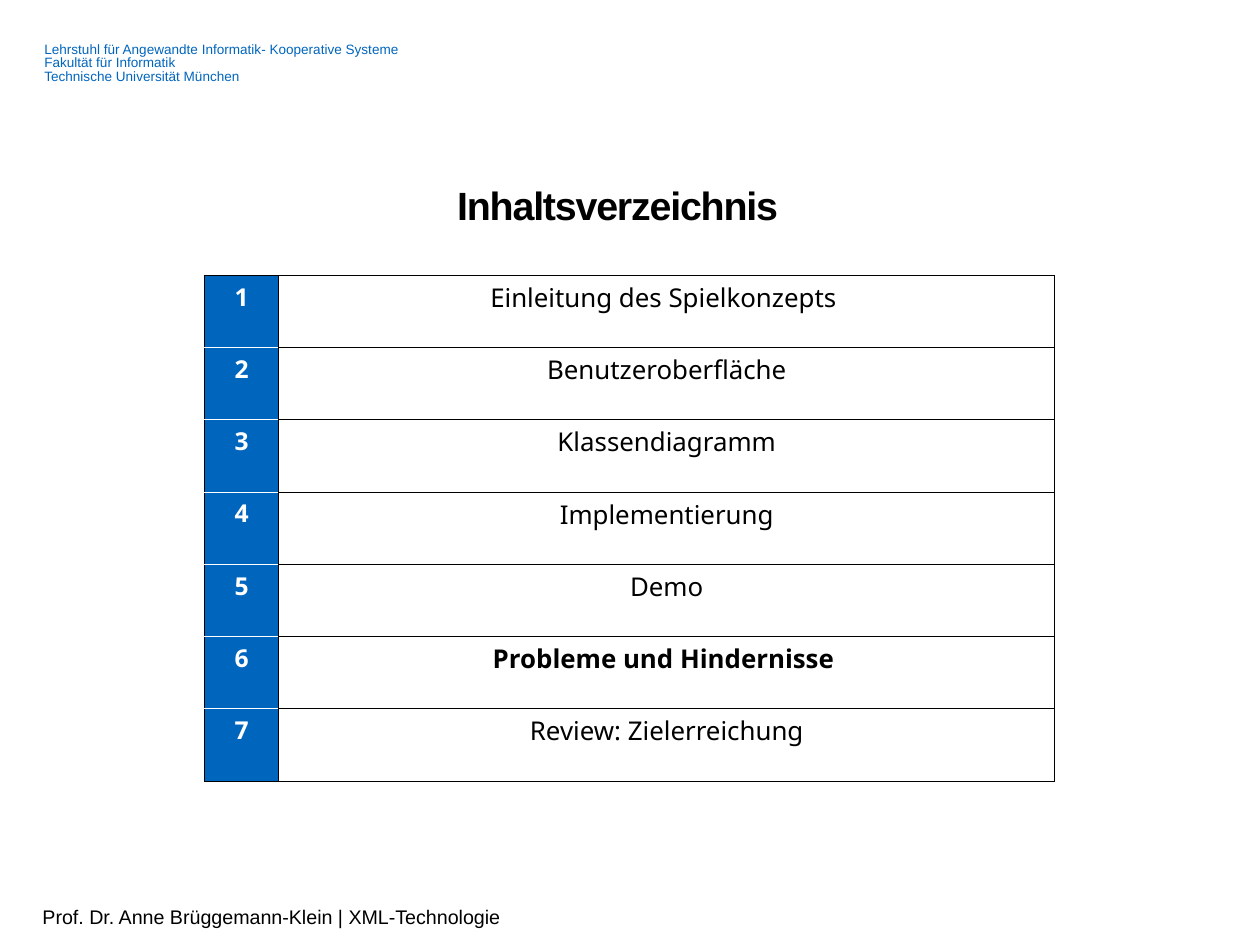
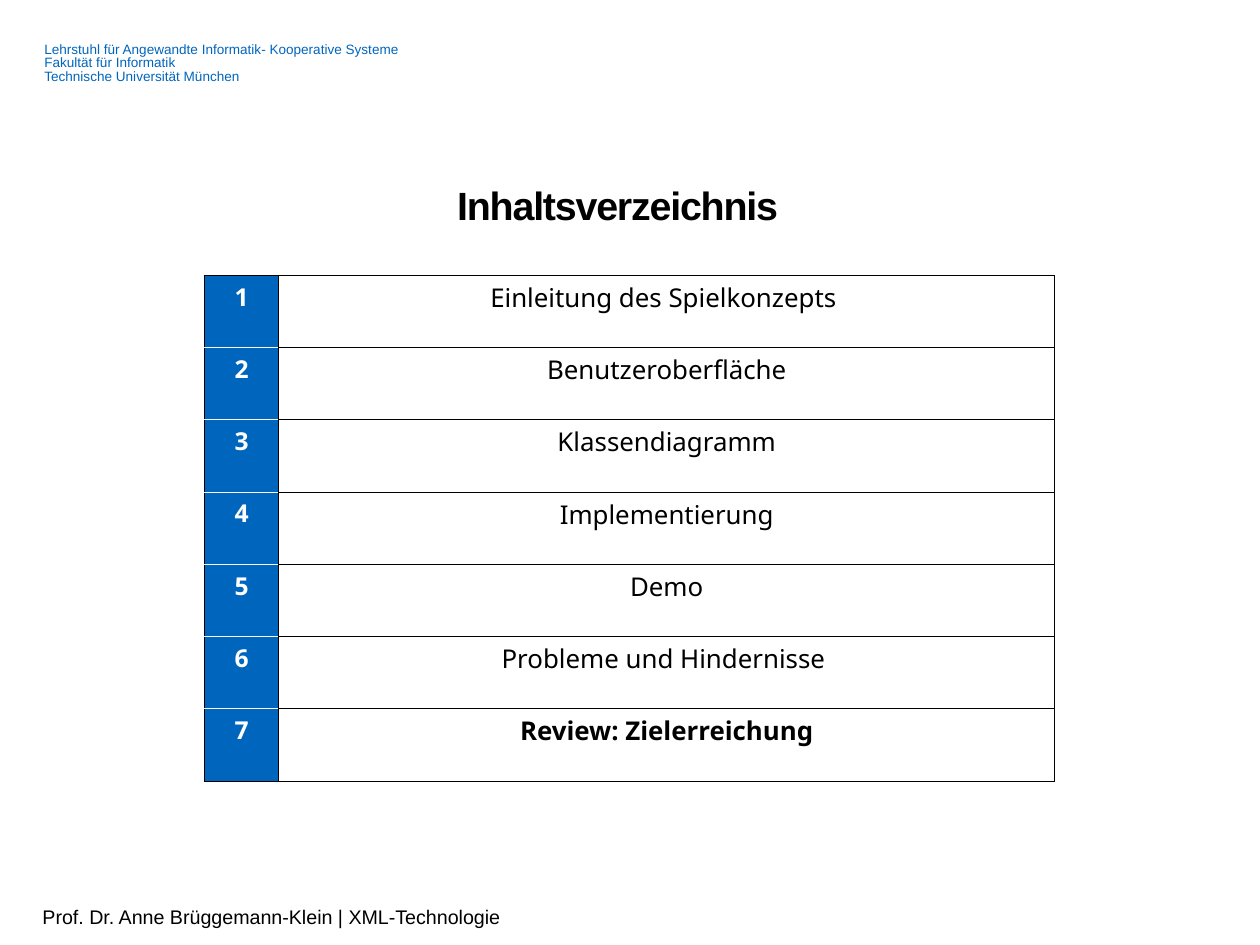
from lxml.etree import SubElement
from pptx import Presentation
from pptx.dml.color import RGBColor
from pptx.enum.text import MSO_ANCHOR, MSO_AUTO_SIZE, PP_ALIGN
from pptx.oxml.ns import qn
from pptx.util import Pt

BLUE, BLACK, WHITE = "0065BD", "000000", "FFFFFF"
HEADER = [
    "Lehrstuhl für Angewandte Informatik- Kooperative Systeme",
    "Fakultät für Informatik",
    "Technische Universität München",
]
FOOTER = "Prof. Dr. Anne Brüggemann-Klein | XML-Technologie"
CHAPTERS = [
    "Einleitung des Spielkonzepts ",
    "Benutzeroberfläche",
    "Klassendiagramm",
    "Implementierung",
    "Demo",
    "Probleme und Hindernisse ",
    "Review: Zielerreichung",
]
COLUMN_WIDTHS = [60.5, 630.2]
ROW_HEIGHT = 58.73
BORDER_WIDTH = 0.96


def color(value):
    return RGBColor.from_string(value)


def set_margins(target, margin):
    for side in ("left", "top", "right", "bottom"):
        setattr(target, f"margin_{side}", Pt(margin))


def write(para, text, size, font="Arial", fill=BLACK, bold=False,
          align=PP_ALIGN.LEFT, line=None, spacing=None):
    para.alignment = align
    if line:
        para.line_spacing = Pt(line)
    span = para.add_run()
    span.text = text
    span.font.name = font
    span.font.size = Pt(size)
    span.font.bold = bold
    span.font.color.rgb = color(fill)
    if spacing:
        span.font._element.set("spc", str(spacing * 100))


def add_text(page, lines, left, top, width, height,
             anchor=MSO_ANCHOR.TOP, grow=False, **style):
    box = page.shapes.add_textbox(Pt(left), Pt(top), Pt(width), Pt(height))
    frame = box.text_frame
    frame.word_wrap = True
    frame.vertical_anchor = anchor
    frame.auto_size = MSO_AUTO_SIZE.SHAPE_TO_FIT_TEXT if grow else MSO_AUTO_SIZE.NONE
    set_margins(frame, 0)
    for index, text in enumerate(lines):
        para = frame.add_paragraph() if index else frame.paragraphs[0]
        write(para, text, **style)


def set_borders(cell, top=BLACK, bottom=BLACK):
    properties = cell._tc.get_or_add_tcPr()
    for side, value in (("L", BLACK), ("R", BLACK), ("T", top), ("B", bottom)):
        border = SubElement(properties, qn(f"a:ln{side}"), w=str(int(Pt(BORDER_WIDTH))))
        fill = SubElement(border, qn("a:solidFill"))
        SubElement(fill, qn("a:srgbClr"), val=value)


def fill_cell(cell, text, background, top=BLACK, bottom=BLACK, **style):
    set_borders(cell, top, bottom)
    cell.fill.solid()
    cell.fill.fore_color.rgb = color(background)
    set_margins(cell, 3.6)
    write(cell.text_frame.paragraphs[0], text, font="Noto Sans",
          align=PP_ALIGN.CENTER, **style)


def add_contents(page, current):
    count = len(CHAPTERS)
    table = page.shapes.add_table(
        count, 2, Pt(166.2), Pt(223.8),
        Pt(sum(COLUMN_WIDTHS)), Pt(count * ROW_HEIGHT)).table
    table.first_row = table.horz_banding = False
    for column, width in zip(table.columns, COLUMN_WIDTHS):
        column.width = Pt(width)
    for number, chapter in enumerate(CHAPTERS, 1):
        row = table.rows[number - 1]
        row.height = Pt(ROW_HEIGHT)
        fill_cell(row.cells[0], str(number), BLUE,
                  top=BLACK if number == 1 else WHITE,
                  bottom=BLACK if number == count else WHITE,
                  size=20, fill=WHITE, bold=True)
        fill_cell(row.cells[1], chapter, WHITE, size=21, bold=number == current)


def add_page(deck, current):
    page = deck.slides.add_slide(deck.slide_layouts[6])
    add_text(page, HEADER, 36, 35.3, 862, 33, grow=True, size=11, fill=BLUE, line=11)
    add_text(page, [FOOTER], 34.5, 736.5, 723.6, 17.3,
             anchor=MSO_ANCHOR.MIDDLE, grow=True, size=16)
    add_text(page, ["Inhaltsverzeichnis"], 371.5, 147.6, 281.5, 56.2,
             size=32, bold=True, spacing=-1)
    add_contents(page, current)


def main():
    deck = Presentation()
    deck.slide_width, deck.slide_height = Pt(1024), Pt(768)
    for current in (6, 7):
        add_page(deck, current)
    deck.save("out.pptx")


if __name__ == "__main__":
    main()
